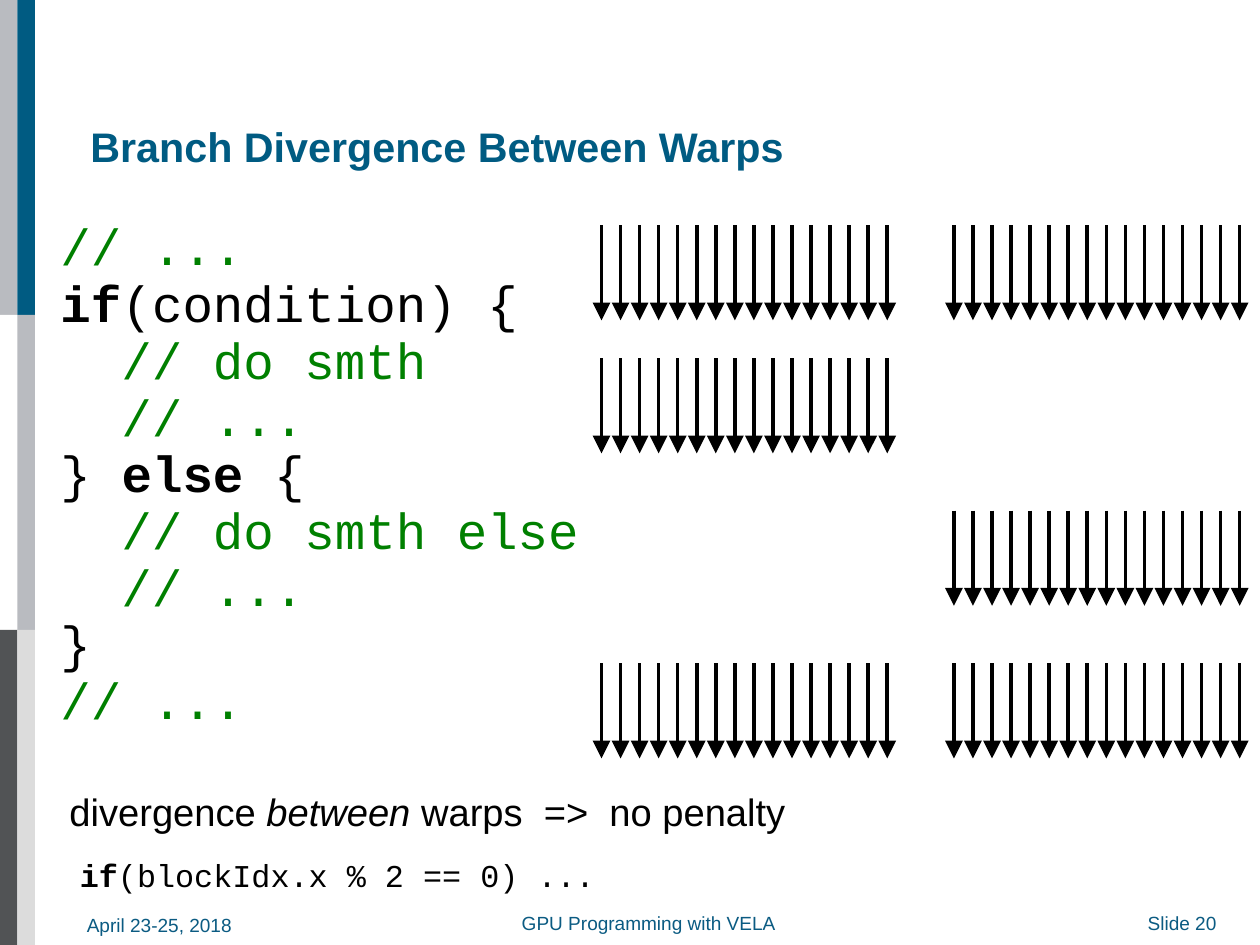
import pptx
import pptx.dml.color
import pptx.enum.shapes
import pptx.enum.text
import pptx.util
from lxml import etree

Pt = pptx.util.Pt
ALIGN = pptx.enum.text.PP_ALIGN
ANCHOR = pptx.enum.text.MSO_ANCHOR
COLOURS = {
    "blue": "005B82", "footer": "0B5B82", "silver": "B9BBC0", "white": "FFFFFF",
    "slate": "515355", "light": "DCDCDC", "black": "000000", "green": "008000",
}


def colour(name):
    return pptx.dml.color.RGBColor.from_string(COLOURS[name])


def add_text(left, top, width, height, lines, font, size, align=ALIGN.LEFT,
             anchor=ANCHOR.MIDDLE, inset=(0, 0), spacing=None, wrap=True):
    box = page.shapes.add_textbox(Pt(left), Pt(top), Pt(width), Pt(height))
    frame = box.text_frame
    frame.word_wrap = wrap
    frame.vertical_anchor = anchor
    frame.margin_left = frame.margin_right = Pt(inset[0])
    frame.margin_top = frame.margin_bottom = Pt(inset[1])
    for number, (indent, spans) in enumerate(lines):
        para = frame.add_paragraph() if number else frame.paragraphs[0]
        para.alignment = align
        para.line_spacing = spacing
        if indent:
            para._p.get_or_add_pPr().set("marL", str(Pt(indent)))
        for text, tint, style in spans:
            span = para.add_run()
            span.text = text
            span.font.name = font
            span.font.size = Pt(size)
            span.font.bold = style == "bold"
            span.font.italic = style == "italic"
            span.font.color.rgb = colour(tint)


deck = pptx.Presentation()
deck.slide_width = Pt(793.7)
deck.slide_height = Pt(595.3)
page = deck.slides.add_slide(deck.slide_layouts[6])

band_height = 198.43
for row, tints in enumerate([("silver", "blue"), ("white", "silver"), ("slate", "light")]):
    for column, tint in enumerate(tints):
        band = page.shapes.add_shape(
            pptx.enum.shapes.MSO_SHAPE.RECTANGLE,
            Pt(column * 11), Pt(row * band_height), Pt(11), Pt(band_height))
        band.shadow.inherit = False
        band.fill.solid()
        band.fill.fore_color.rgb = colour(tint)
        band.line.fill.background()

add_text(56.9, 51.1, 714.2, 85, [(0, [("Branch Divergence Between Warps", "blue", "bold")])],
         "Arial", 26, spacing=0.93)

footers = [
    ("April 23-25, 2018", 54.7, 576, 185, 13.7, ALIGN.LEFT),
    ("Slide 20", 581.3, 573.5, 185, 15.8, ALIGN.RIGHT),
    ("GPU Programming with VELA", 283, 573.3, 251.3, 16.6, ALIGN.CENTER),
]
for text, left, top, width, height, align in footers:
    add_text(left, top, width, height, [(0, [(text, "footer", None)])], "Arial", 12, align)

code_indent = 38.4
code_lines = [
    (0, [("// ...", "green", None)]),
    (0, [("if", "black", "bold"), ("(condition) {", "black", None)]),
    (code_indent, [("// do smth", "green", None)]),
    (code_indent, [("// ...", "green", None)]),
    (0, [("} ", "black", None), ("else ", "black", "bold"), ("{", "black", None)]),
    (code_indent, [("// do smth else", "green", None)]),
    (code_indent, [("// ...", "green", None)]),
    (0, [("}", "black", None)]),
    (0, [("// ...", "green", None)]),
]
add_text(31, 135.4, 342, 331.9, code_lines, "Courier New", 32,
         anchor=ANCHOR.TOP, inset=(7.2, 3.6), spacing=0.93)

add_text(36.7, 495.4, 470.2, 34.6,
         [(0, [("divergence ", "black", None), ("between ", "black", "italic"),
               ("warps  =>  no penalty", "black", None)])],
         "Arial", 24, anchor=ANCHOR.TOP, inset=(7.2, 3.6), spacing=0.93, wrap=False)
add_text(43.2, 537.8, 342, 30.2,
         [(0, [("if", "black", "bold"), ("(blockIdx.x % 2 == 0) ...", "black", None)])],
         "Courier New", 20, anchor=ANCHOR.TOP, inset=(7.2, 3.6), spacing=0.93, wrap=False)

first_warp, second_warp = 378.9, 600.9
warp_steps = [
    (141.8, [first_warp, second_warp]),
    (225.6, [first_warp]),
    (321.6, [second_warp]),
    (417.8, [first_warp, second_warp]),
]
namespace = "{http://schemas.openxmlformats.org/drawingml/2006/main}"
for top, warps in warp_steps:
    for left in warps:
        for thread in range(16):
            x = Pt(left + thread * 12)
            arrow = page.shapes.add_connector(
                pptx.enum.shapes.MSO_CONNECTOR.STRAIGHT, x, Pt(top), x, Pt(top + 60))
            arrow.line.color.rgb = colour("black")
            arrow.line.width = Pt(2.25)
            etree.SubElement(arrow.line._get_or_add_ln(), namespace + "tailEnd",
                             type="triangle", w="lg", len="lg")
            etree.SubElement(arrow._element.spPr, namespace + "effectLst")

deck.save("out.pptx")
